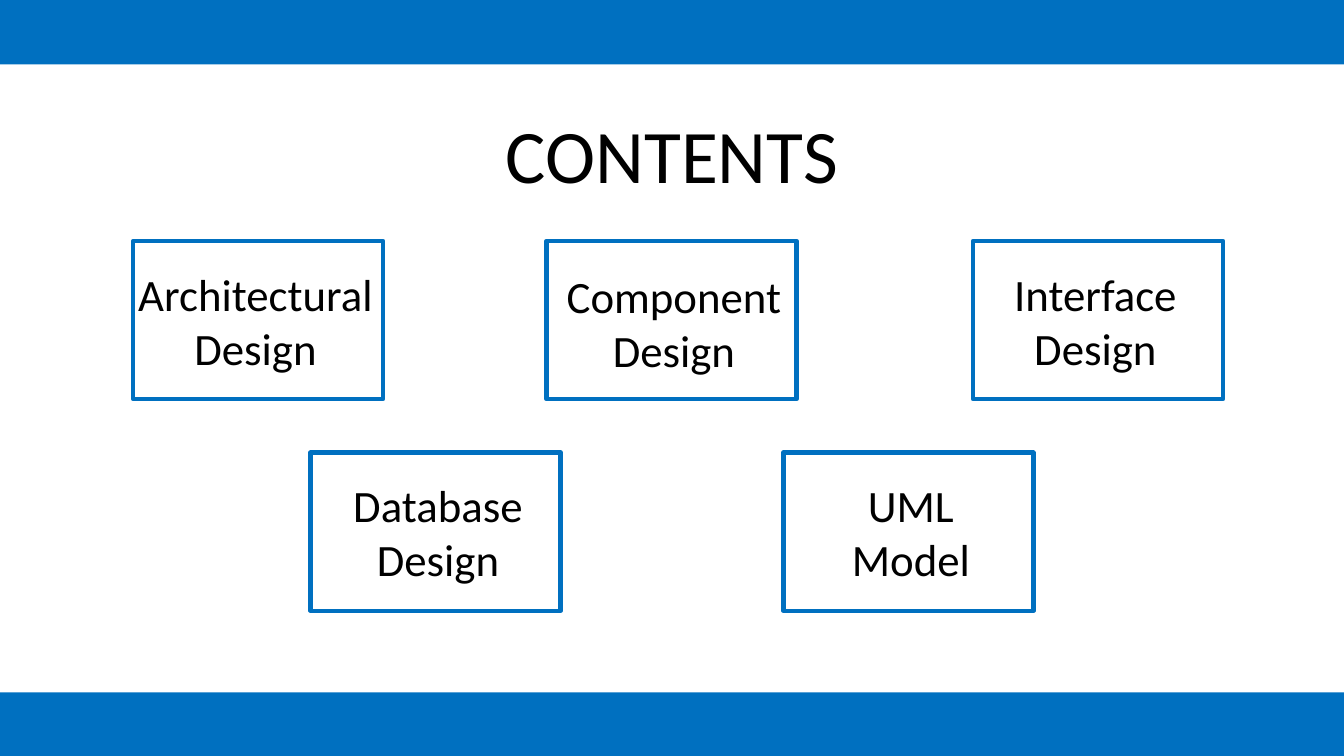
from pptx import Presentation
from pptx.dml.color import RGBColor
from pptx.enum.shapes import MSO_SHAPE
from pptx.enum.text import MSO_AUTO_SIZE, PP_ALIGN
from pptx.util import Inches, Pt

RECTANGLE = MSO_SHAPE.RECTANGLE
CENTER = PP_ALIGN.CENTER
GROW = MSO_AUTO_SIZE.SHAPE_TO_FIT_TEXT

BLUE, WHITE, BLACK = "0070C0", "FFFFFF", "000000"
FONT = "Calibri"
PAGE_WIDTH, PAGE_HEIGHT = 13.33, 7.5
CARD_WIDTH, CARD_HEIGHT = 2.48, 1.57
LABEL_WIDTH, LABEL_HEIGHT = 2.53, 1.18

TITLE = "CONTENTS"
BANDS = [(0, 0.64), (6.87, 0.63)]  # top, height
# paragraphs, card left, card top, label shift right, label shift down
TOPICS = [
    (["Architectural Design"], 1.32, 2.39, -0.05, 0.21),
    (["Component Design"], 5.42, 2.39, 0, 0.23),
    (["Interface Design"], 9.65, 2.39, -0.05, 0.21),
    (["Database Design"], 3.08, 4.49, 0, 0.2),
    (["UML", "Model"], 7.77, 4.49, 0, 0.2),
]


def color(value):
    """Turn a hex string into a colour."""
    return RGBColor.from_string(value)


def add_rectangle(page, left, top, width, height, fill, line=None):
    """Add a flat rectangle, outlined when a line colour is given."""
    box = page.shapes.add_shape(
        RECTANGLE, Inches(left), Inches(top), Inches(width), Inches(height))
    box.shadow.inherit = False
    box.fill.solid()
    box.fill.fore_color.rgb = color(fill)
    if line:
        box.line.color.rgb = color(line)
        box.line.width = Pt(3)
    else:
        box.line.fill.background()


def add_text(page, paragraphs, left, top, width, height, size):
    """Add a centred, wrapping text box with one run per paragraph."""
    box = page.shapes.add_textbox(
        Inches(left), Inches(top), Inches(width), Inches(height))
    frame = box.text_frame
    frame.word_wrap = True
    frame.auto_size = GROW
    for index, text in enumerate(paragraphs):
        para = frame.add_paragraph() if index else frame.paragraphs[0]
        para.alignment = CENTER
        span = para.add_run()
        span.text = text
        span.font.name = FONT
        span.font.size = Pt(size)
        span.font.color.rgb = color(BLACK)


deck = Presentation()
deck.slide_width = Inches(PAGE_WIDTH)
deck.slide_height = Inches(PAGE_HEIGHT)
page = deck.slides.add_slide(deck.slide_layouts[6])

for top, height in BANDS:
    add_rectangle(page, 0, top, PAGE_WIDTH, height, BLUE)

add_text(page, [TITLE], 4.5, 1.02, 4.33, 1.01, 54)

for paragraphs, left, top, shift_right, shift_down in TOPICS:
    add_rectangle(page, left, top, CARD_WIDTH, CARD_HEIGHT, WHITE, BLUE)
    add_text(page, paragraphs, left + shift_right, top + shift_down,
             LABEL_WIDTH, LABEL_HEIGHT, 32)

deck.save("out.pptx")
